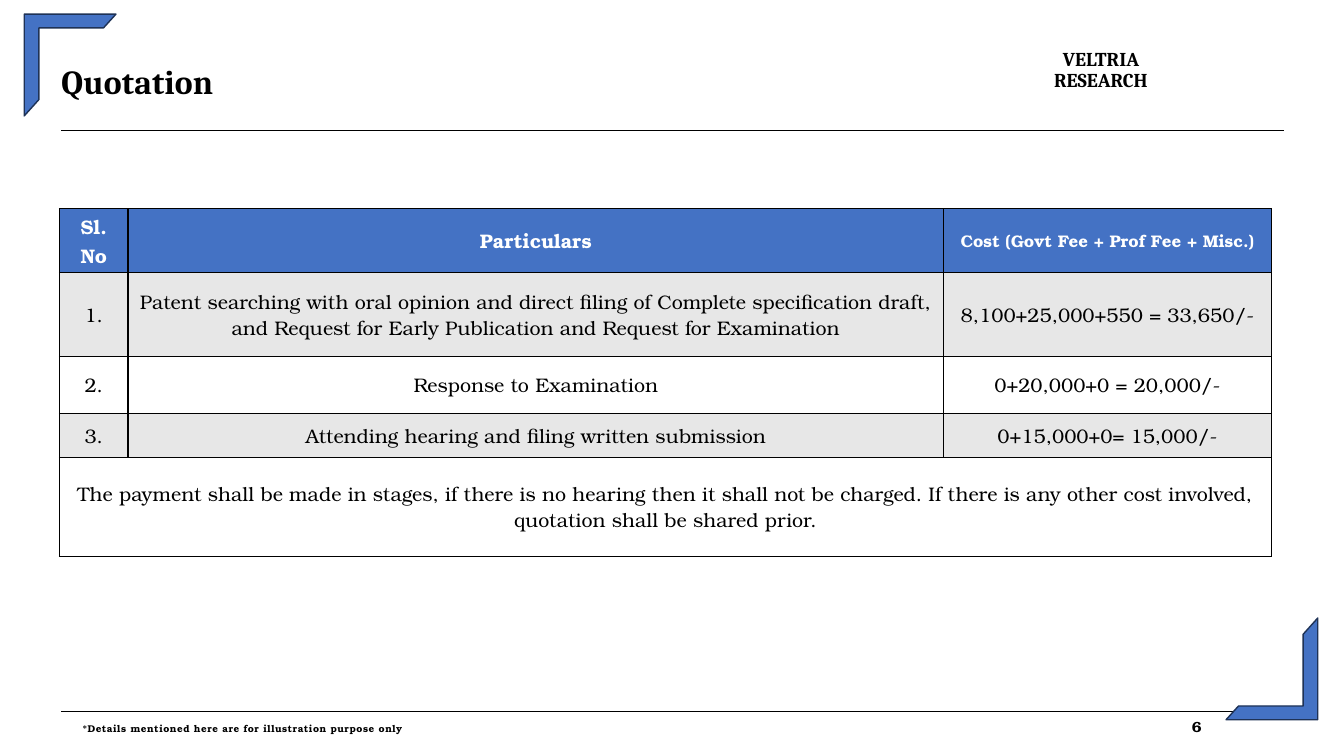
from dataclasses import dataclass

import pptx
import pptx.dml.color
import pptx.enum.shapes
import pptx.enum.text
import pptx.oxml
import pptx.oxml.ns
import pptx.util

EMU_PER_PX = 9144  # 100 px to the inch
COLOURS = {
    "text": "000000",
    "header": "4472C4",
    "header_text": "FFFFFF",
    "band": "E7E7E7",
    "plain": "FFFFFF",
    "rule": "000000",
    "corner_line": "1E3256",
}
HEADING_FONT = "Cambria"
BODY_FONT = "TeX Gyre Bonum"
ALIGN = pptx.enum.text.PP_ALIGN
MIDDLE = pptx.enum.text.MSO_ANCHOR.MIDDLE


@dataclass
class Label:
    text: str
    left: int
    top: int
    width: int
    height: int
    font: str
    size: float
    align: ALIGN = ALIGN.LEFT
    line_spacing: float = 1.0
    tracking: int = 0  # hundredths of a point


@dataclass
class Corner:
    left: int
    top: int
    rotation: int


@dataclass
class Rule:
    left: int
    right: int
    top: int


TITLE = Label("Quotation", 61, 59, 800, 42, HEADING_FONT, 24, tracking=10)
LABELS = [
    Label("VELTRIA\nRESEARCH", 1032, 49, 120, 43, HEADING_FONT, 14, ALIGN.CENTER, 0.87),
    Label("*Details mentioned here are for illustration purpose only",
          82, 713, 500, 20, BODY_FONT, 7, tracking=40),
    Label("6", 1167, 711, 40, 20, BODY_FONT, 10.5, ALIGN.CENTER),
]
CORNERS = [Corner(24, 14, 0), Corner(1216, 613, 180)]
RULES = [Rule(61, 1273, 129), Rule(61, 1273, 706)]

COLUMN_WIDTHS = [68, 809, 325]
ROW_HEIGHTS = [63, 84, 56, 44, 98]
ROWS = [
    ["Sl. No", "Particulars", "Cost (Govt Fee + Prof Fee + Misc.)"],
    ["1.", "Patent searching with oral opinion and direct filing of Complete specification "
           "draft, and Request for Early Publication and Request for Examination",
     "8,100+25,000+550 = 33,650/-"],
    ["2.", "Response to Examination", "0+20,000+0 = 20,000/-"],
    ["3.", "Attending hearing and filing written submission", "0+15,000+0= 15,000/-"],
    ["The payment shall be made in stages, if there is no hearing then it shall not be "
     "charged. If there is any other cost involved, quotation shall be shared prior."],
]


def px(length: int) -> pptx.util.Emu:
    return pptx.util.Emu(length * EMU_PER_PX)


def colour(name: str) -> pptx.dml.color.RGBColor:
    return pptx.dml.color.RGBColor.from_string(COLOURS[name])


def format_paragraph(paragraph, font: str, size: float, bold: bool, colour_name: str,
                     align: ALIGN) -> None:
    paragraph.alignment = align
    paragraph.font.name = font
    paragraph.font.size = pptx.util.Pt(size)
    paragraph.font.bold = bold
    paragraph.font.color.rgb = colour(colour_name)


def fill_label(shape, label: Label) -> None:
    """Place a text shape and give it the label's text and format."""
    shape.left, shape.top = px(label.left), px(label.top)
    shape.width, shape.height = px(label.width), px(label.height)
    frame = shape.text_frame
    frame.text = label.text
    frame.word_wrap = True
    frame.auto_size = pptx.enum.text.MSO_AUTO_SIZE.NONE
    frame.vertical_anchor = MIDDLE
    frame.margin_left = frame.margin_right = frame.margin_top = frame.margin_bottom = 0
    for paragraph in frame.paragraphs:
        format_paragraph(paragraph, label.font, label.size, True, "text", label.align)
        paragraph.line_spacing = label.line_spacing
        properties = paragraph._p.pPr.find(pptx.oxml.ns.qn("a:defRPr"))
        properties.set("spc", str(label.tracking))


def add_rule(slide, rule: Rule) -> None:
    connector = slide.shapes.add_connector(
        pptx.enum.shapes.MSO_CONNECTOR.STRAIGHT,
        px(rule.left), px(rule.top), px(rule.right), px(rule.top))
    connector.line.color.rgb = colour("rule")
    connector.line.width = pptx.util.Pt(0.5)
    connector._element.spPr.append(pptx.oxml.parse_xml(
        f'<a:effectLst {pptx.oxml.ns.nsdecls("a")}/>'))


def add_corner(slide, corner: Corner) -> None:
    shape = slide.shapes.add_shape(
        pptx.enum.shapes.MSO_SHAPE.HALF_FRAME,
        px(corner.left), px(corner.top), px(91), px(101))
    shape.adjustments[0], shape.adjustments[1] = 0.15, 0.16
    shape.rotation = corner.rotation
    shape.shadow.inherit = False
    shape.fill.solid()
    shape.fill.fore_color.rgb = colour("header")
    shape.line.color.rgb = colour("corner_line")
    shape.line.width = pptx.util.Pt(1)


def format_cell(cell, fill: str) -> None:
    """Give a cell black borders on all sides, and then its fill."""
    properties = cell._tc.get_or_add_tcPr()
    for side in ("lnL", "lnR", "lnT", "lnB"):
        properties.append(pptx.oxml.parse_xml(
            f'<a:{side} {pptx.oxml.ns.nsdecls("a")} w="12700"><a:solidFill>'
            f'<a:srgbClr val="{COLOURS["rule"]}"/></a:solidFill></a:{side}>'))
    cell.fill.solid()
    cell.fill.fore_color.rgb = colour(fill)
    cell.vertical_anchor = MIDDLE
    cell.margin_top = cell.margin_bottom = 0


def add_quotation_table(slide) -> None:
    table = slide.shapes.add_table(
        len(ROW_HEIGHTS), len(COLUMN_WIDTHS), px(59), px(207),
        px(sum(COLUMN_WIDTHS)), px(sum(ROW_HEIGHTS))).table
    table.first_row = table.horz_banding = False
    for column, width in zip(table.columns, COLUMN_WIDTHS):
        column.width = px(width)
    for row_index, (row, height) in enumerate(zip(table.rows, ROW_HEIGHTS)):
        row.height = px(height)
        is_header = row_index == 0
        fill = "header" if is_header else "band" if row_index % 2 else "plain"
        for cell in row.cells:
            format_cell(cell, fill)
        for column_index, text in enumerate(ROWS[row_index]):
            cell = row.cells[column_index]
            cell.text = text
            size = 12 if is_header and column_index == 2 else 14
            format_paragraph(cell.text_frame.paragraphs[0], BODY_FONT, size, is_header,
                             "header_text" if is_header else "text", ALIGN.CENTER)
    last_row = len(ROWS) - 1
    table.cell(last_row, 0).merge(table.cell(last_row, len(COLUMN_WIDTHS) - 1))


def main() -> None:
    presentation = pptx.Presentation()
    presentation.slide_width, presentation.slide_height = px(1333), px(750)
    slide = presentation.slides.add_slide(presentation.slide_layouts[5])
    fill_label(slide.shapes.title, TITLE)
    for rule in RULES:
        add_rule(slide, rule)
    add_quotation_table(slide)
    for corner in CORNERS:
        add_corner(slide, corner)
    for label in LABELS:
        fill_label(slide.shapes.add_textbox(0, 0, 0, 0), label)
    presentation.save("out.pptx")


if __name__ == "__main__":
    main()
